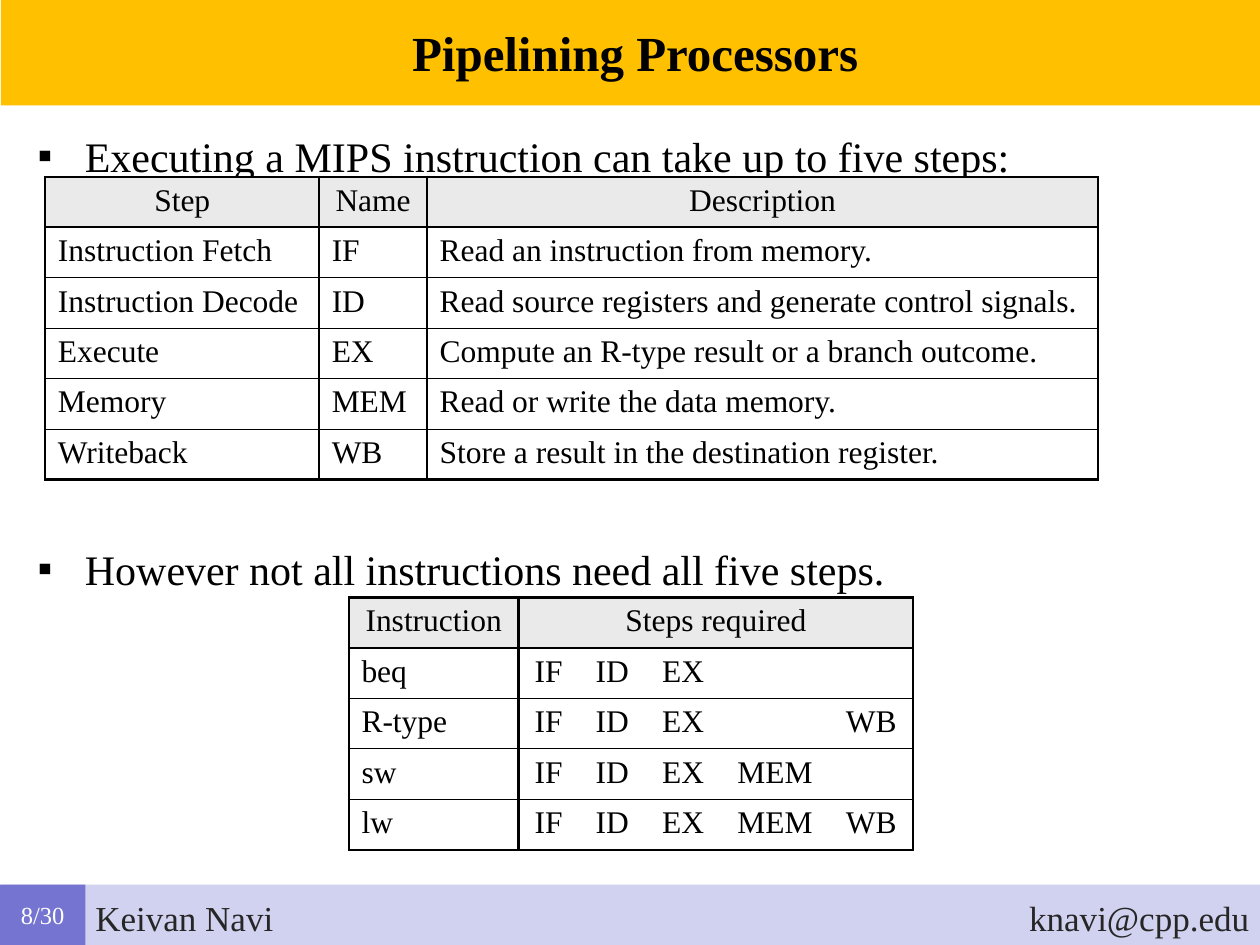
from pptx import Presentation
from pptx.dml.color import RGBColor
from pptx.enum.shapes import MSO_SHAPE
from pptx.enum.text import MSO_ANCHOR, PP_ALIGN
from pptx.oxml.ns import qn
from pptx.util import Pt
from lxml.etree import SubElement

# Content
TITLE = "Pipelining Processors"
AUTHOR, EMAIL, PAGE = "Keivan Navi", "knavi@cpp.edu", "8/30"
POINTS = [
    ("Executing a MIPS instruction can take up to five steps:", 0),
    ("However not all instructions need all five steps.", 207.3),
]
STEPS = [
    ("Step", "Name", "Description"),
    ("Instruction Fetch", "IF", "Read an instruction from memory."),
    ("Instruction Decode", "ID", "Read source registers and generate control signals."),
    ("Execute", "EX", "Compute an R-type result or a branch outcome."),
    ("Memory", "MEM", "Read or write the data memory."),
    ("Writeback", "WB", "Store a result in the destination register."),
]
NEEDS = [
    ("Instruction", "Steps required", "", "", "", ""),
    ("beq", "IF", "ID", "EX", "", ""),
    ("R-type", "IF", "ID", "EX", "", "WB"),
    ("sw", "IF", "ID", "EX", "MEM", ""),
    ("lw", "IF", "ID", "EX", "MEM", "WB"),
]

FONT = "Times New Roman"
BLACK = RGBColor(0x00, 0x00, 0x00)
WHITE = RGBColor(0xFF, 0xFF, 0xFF)
DARK = RGBColor(0x26, 0x26, 0x26)
GOLD = RGBColor(0xFF, 0xC0, 0x00)
PALE = RGBColor(0xD1, 0xD1, 0xF0)
VIOLET = RGBColor(0x75, 0x75, 0xD1)
GREY = RGBColor(0xEA, 0xEA, 0xEA)
WIDE, HIGH = 720, 540
FOOT = 505.5
ROW = 28.8
THICK, THIN = 1.5, 0.5

deck = Presentation()
deck.slide_width, deck.slide_height = Pt(WIDE), Pt(HIGH)
slide = deck.slides.add_slide(deck.slide_layouts[6])


def write(para, text, size, color=BLACK, bold=False, align=PP_ALIGN.LEFT):
    para.alignment = align
    para.font.size = Pt(size)
    if text:
        run = para.add_run()
        run.text = text
        font = run.font
        font.name, font.size, font.bold = FONT, Pt(size), bold
        font.color.rgb = color


def add_band(left, top, width, height, color):
    band = slide.shapes.add_shape(
        MSO_SHAPE.RECTANGLE, Pt(left), Pt(top), Pt(width), Pt(height))
    band.shadow.inherit = False
    band.fill.solid()
    band.fill.fore_color.rgb = color
    band.line.fill.background()
    return band


def add_text(left, top, width, height):
    box = slide.shapes.add_textbox(Pt(left), Pt(top), Pt(width), Pt(height))
    box.text_frame.word_wrap = True
    return box.text_frame


def draw_edge(cell, side, width):
    line = SubElement(cell._tc.get_or_add_tcPr(), qn("a:ln" + side))
    if width:
        line.set("w", str(Pt(width)))
        fill = SubElement(line, qn("a:solidFill"))
        SubElement(fill, qn("a:srgbClr")).set("val", str(BLACK))
    else:
        SubElement(line, qn("a:noFill"))


def add_grid(left, top, widths, data, bars, centred, merge=None):
    """bars: column edges that carry a line; centred: first centred column."""
    count = len(data)
    grid = slide.shapes.add_table(
        count, len(widths), Pt(left), Pt(top), Pt(sum(widths)), Pt(ROW * count)).table
    grid.first_row = grid.horz_banding = False
    for col, width in zip(grid.columns, widths):
        col.width = Pt(width)
    for row in grid.rows:
        row.height = Pt(ROW)
    if merge:
        grid.cell(0, merge).merge(grid.cell(0, len(widths) - 1))
    heavy = {0, 1, count}
    for r, row in enumerate(data):
        for c, text in enumerate(row):
            cell = grid.cell(r, c)
            if cell.is_spanned:
                continue
            end = c + (cell.span_width if cell.is_merge_origin else 1)
            draw_edge(cell, "L", THICK if c in bars else 0)
            draw_edge(cell, "R", THICK if end in bars else 0)
            draw_edge(cell, "T", THICK if r in heavy else THIN)
            draw_edge(cell, "B", THICK if r + 1 in heavy else THIN)
            if r == 0:
                cell.fill.solid()
                cell.fill.fore_color.rgb = GREY
            else:
                cell.fill.background()
            mid = r == 0 or c >= centred
            write(cell.text_frame.paragraphs[0], text, 18,
                  align=PP_ALIGN.CENTER if mid else PP_ALIGN.LEFT)


# Bands and title
add_band(0.5, FOOT, WIDE, HIGH - FOOT, PALE)
add_band(0.5, 0, WIDE, 60.3, GOLD)
write(add_text(219, 9.4, 288, 42).paragraphs[0], TITLE, 28, bold=True,
      align=PP_ALIGN.CENTER)

# Bullet points, spaced to leave room for the first table
body = add_text(14.4, 71, 700, 270)
for i, (text, gap) in enumerate(POINTS):
    para = body.add_paragraph() if i else body.paragraphs[0]
    props = para._p.get_or_add_pPr()
    props.set("marL", str(Pt(27)))
    props.set("indent", str(Pt(-27)))
    tint = SubElement(props, qn("a:buClr"))
    SubElement(tint, qn("a:srgbClr")).set("val", str(BLACK))
    SubElement(props, qn("a:buFont")).set("typeface", FONT)
    SubElement(props, qn("a:buChar")).set("char", "▪")
    para.space_before = Pt(gap)
    write(para, text, 24, align=PP_ALIGN.JUSTIFY)

# Tables
add_grid(25.9, 101, [156.5, 61.7, 383.5], STEPS, {0, 1, 2, 3}, 3)
add_grid(199.4, 341.4, [97, 34.4, 38.2, 43, 62, 48], NEEDS, {0, 1, 6}, 1, merge=1)

# Footer
badge = add_band(0, FOOT, 48.8, HIGH - FOOT, VIOLET).text_frame
badge.vertical_anchor = MSO_ANCHOR.MIDDLE
write(badge.paragraphs[0], PAGE, 14, WHITE, align=PP_ALIGN.CENTER)
for text, left, width in [(AUTHOR, 47.4, 158), (EMAIL, 581, 142)]:
    write(add_text(left, 508.5, width, 31.5).paragraphs[0], text, 20, DARK)

deck.save("out.pptx")
